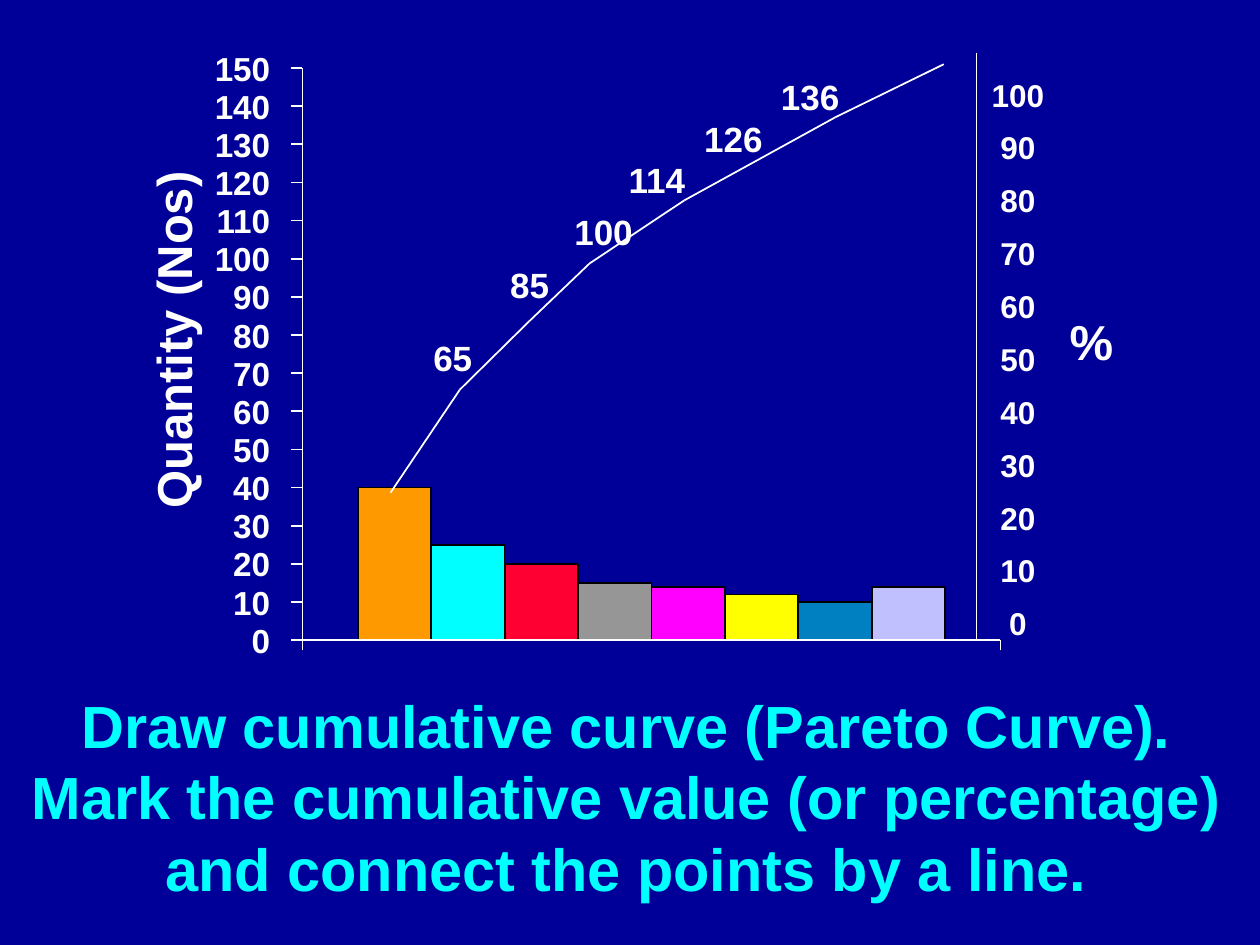
import dataclasses
import itertools

import pptx
import pptx.dml.color
import pptx.enum.shapes
import pptx.enum.text
import pptx.oxml
import pptx.util

Pt = pptx.util.Pt
Align = pptx.enum.text.PP_ALIGN


@dataclasses.dataclass(frozen=True)
class Theme:
    """Colours, font and type sizes of the slide."""
    background: str = "000098"
    ink: str = "FFFFFF"
    statement: str = "00FFFF"
    bar_edge: str = "000000"
    font: str = "Arial"
    statement_size: int = 34
    axis_title_size: int = 28
    curve_size: int = 20
    quantity_size: int = 19
    percent_size: int = 18


@dataclasses.dataclass(frozen=True)
class Box:
    """A region of the slide in points."""
    left: float
    top: float
    width: float
    height: float

    @property
    def right(self):
        """Return the right edge."""
        return self.left + self.width

    @property
    def bottom(self):
        """Return the bottom edge."""
        return self.top + self.height

    def lengths(self):
        """Return the four measures as lengths."""
        return [Pt(round(n, 2)) for n in dataclasses.astuple(self)]


THEME = Theme()
QUANTITY_MAX = 150
QUANTITY_STEP = 10
BARS = [(40, "FF9900"), (25, "00FFFF"), (20, "FF0033"), (15, "969696"),
        (14, "FF00FF"), (12, "FFFF00"), (10, "0080C0"), (14, "C0C0FF")]
CURVE = [(50.4, 38.7), (90, 65.7), (129.6, 83.6), (164.2, 98.8),
         (218.2, 115.3), (261.4, 126.2), (304.6, 137.1), (366.5, 151)]
CUMULATIVE = [("65", 67.7, 149.8), ("85", 111.6, 108), ("100", 148.3, 77.8),
              ("114", 179.3, 48.2), ("126", 222.5, 24.5), ("136", 266.4, 0.7)]


def rgb(value):
    """Return a colour from its hex value."""
    return pptx.dml.color.RGBColor.from_string(value)


def format_text(frame, size, color, align, spacing=None):
    """Format every paragraph and run of a text frame."""
    for paragraph in frame.paragraphs:
        paragraph.alignment = align
        paragraph.line_spacing = spacing
        for run in paragraph.runs:
            run.font.name = THEME.font
            run.font.size = Pt(size)
            run.font.bold = True
            run.font.color.rgb = rgb(color)


def add_label(shapes, box, text, size, align=Align.LEFT, spacing=None):
    """Add an unwrapped bold label and return it."""
    label = shapes.add_textbox(*box.lengths())
    label.text_frame.word_wrap = False
    label.text_frame.text = text
    format_text(label.text_frame, size, THEME.ink, align, spacing)
    return label


def add_line(shapes, start, end, weight=1):
    """Add a straight line between two points."""
    ends = [Pt(round(n, 2)) for n in (*start, *end)]
    line = shapes.add_connector(pptx.enum.shapes.MSO_CONNECTOR.STRAIGHT, *ends)
    line.line.color.rgb = rgb(THEME.ink)
    line.line.width = Pt(weight)
    line._element.spPr.append(pptx.oxml.parse_xml(
        '<a:effectLst xmlns:a="http://schemas.openxmlformats.org/drawingml/2006/main"/>'))


def add_bars(shapes, plot):
    """Add the touching quantity bars on the baseline."""
    first_left, width = plot.left + 31.7, 41.95
    for index, (quantity, color) in enumerate(BARS):
        height = plot.height * quantity / QUANTITY_MAX
        box = Box(first_left + index * width, plot.bottom - height, width, height)
        bar = shapes.add_shape(pptx.enum.shapes.MSO_SHAPE.RECTANGLE, *box.lengths())
        bar.shadow.inherit = False
        bar.fill.solid()
        bar.fill.fore_color.rgb = rgb(color)
        bar.line.color.rgb = rgb(THEME.bar_edge)
        bar.line.width = Pt(1)


def add_quantity_axis(shapes, plot):
    """Add the left axis, its ticks and numbers, and the baseline."""
    add_line(shapes, (plot.left, plot.top), (plot.left, plot.bottom))
    for quantity in range(0, QUANTITY_MAX + 1, QUANTITY_STEP):
        y = plot.bottom - plot.height * quantity / QUANTITY_MAX
        add_line(shapes, (plot.left - 6.5, y), (plot.left, y))
        add_label(shapes, Box(plot.left - 57.4, y - 15.1, 46.1, 30.2),
                  str(quantity), THEME.quantity_size, Align.RIGHT)
    add_line(shapes, (plot.left, plot.bottom), (plot.right, plot.bottom))
    for x in (plot.left, plot.right):
        add_line(shapes, (x, plot.bottom + 5.8), (x, plot.bottom))
    title = add_label(shapes, Box(plot.left - 177.8, plot.top + 134.6, 207.4, 41),
                      "Quantity (Nos)", THEME.axis_title_size)
    title.rotation = 270


def add_curve(shapes, plot):
    """Add the cumulative curve and its values."""
    points = [(plot.left + x, plot.bottom - plot.height * total / QUANTITY_MAX)
              for x, total in CURVE]
    for start, end in itertools.pairwise(points):
        add_line(shapes, start, end)
    for text, x, y in CUMULATIVE:
        width = 36.7 if len(text) == 2 else 48.2
        add_label(shapes, Box(plot.left + x, plot.top + y, width, 31),
                  text, THEME.curve_size)


def add_percent_axis(shapes, plot):
    """Add the right axis with its percentages and sign."""
    x = plot.right - 13.7
    percentages = "\n".join(str(n) for n in range(100, -1, -10))
    add_label(shapes, Box(x + 1.4, plot.top - 7.9, 44.6, 339.8), percentages,
              THEME.percent_size, Align.CENTER, 1.4)
    add_label(shapes, Box(x + 46.1, plot.top + 135.4, 39.6, 41), "%",
              THEME.axis_title_size)
    add_line(shapes, (x, plot.top - 8.6), (x, plot.bottom), 0.75)


def add_pareto(slide, plot):
    """Add the Pareto diagram as one group around its plot box."""
    shapes = slide.shapes.add_group_shape().shapes
    add_bars(shapes, plot)
    add_quantity_axis(shapes, plot)
    add_curve(shapes, plot)
    add_percent_axis(shapes, plot)


def add_statement(slide, box):
    """Place the instruction in the title placeholder."""
    title = slide.shapes.title
    title.left, title.top, title.width, title.height = box.lengths()
    frame = title.text_frame
    frame.word_wrap = True
    frame.auto_size = pptx.enum.text.MSO_AUTO_SIZE.NONE
    frame.vertical_anchor = pptx.enum.text.MSO_ANCHOR.TOP
    frame.text = ("Draw cumulative curve (Pareto Curve). Mark the cumulative value "
                  "(or percentage) and connect the points by a line.")
    format_text(frame, THEME.statement_size, THEME.statement, Align.CENTER)


def main():
    """Build and save the slide."""
    deck = pptx.Presentation()
    deck.slide_width, deck.slide_height = Pt(720), Pt(540)
    slide = deck.slides.add_slide(deck.slide_layouts[5])
    slide.background.fill.solid()
    slide.background.fill.fore_color.rgb = rgb(THEME.background)
    add_statement(slide, Box(-4.3, 390.2, 724.3, 129.6))
    add_pareto(slide, Box(172.8, 38.9, 398.9, 326.9))
    deck.save("out.pptx")


if __name__ == "__main__":
    main()
